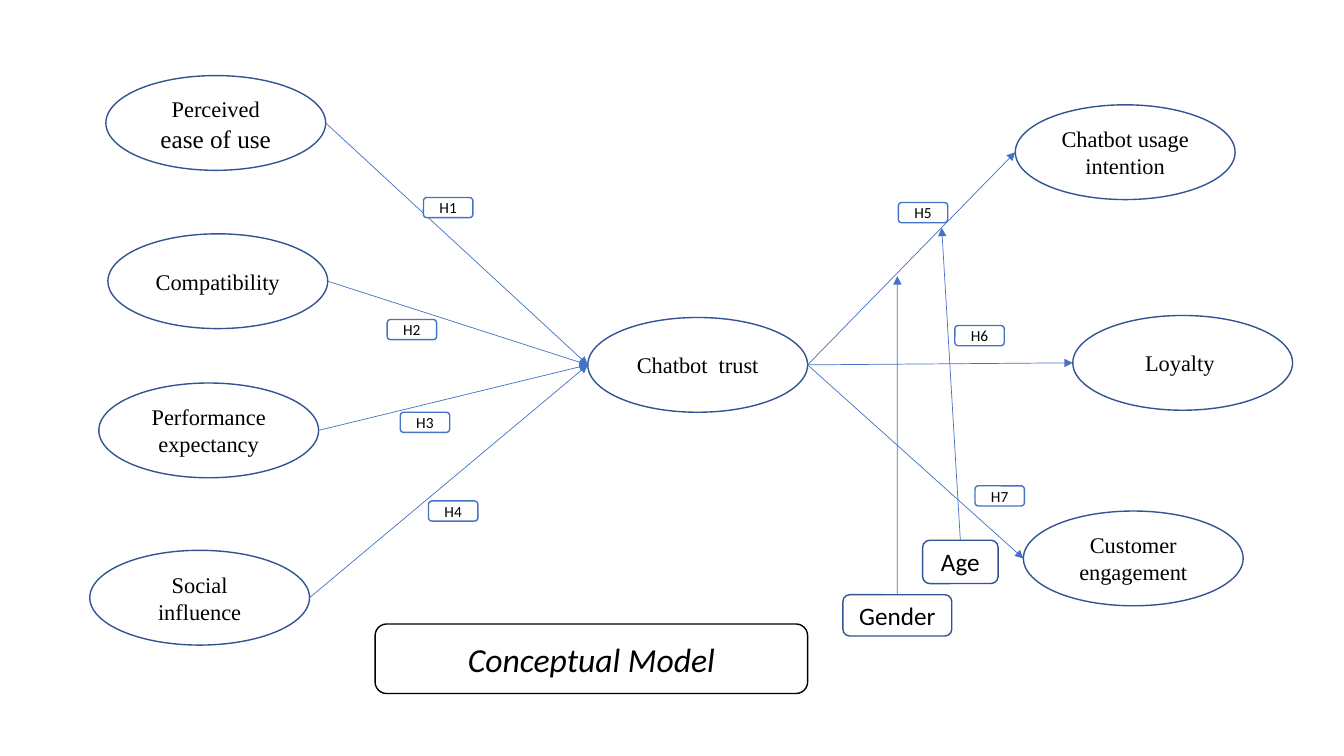
"""Build the conceptual model slide of chatbot trust, its drivers and its outcomes."""
from lxml import etree
from pptx import Presentation
from pptx.dml.color import RGBColor
from pptx.enum import shapes, text
from pptx.oxml import ns
from pptx.util import Inches, Pt

WHITE = RGBColor(0xFF, 0xFF, 0xFF)
BLACK = RGBColor(0x00, 0x00, 0x00)
NAVY = RGBColor(0x32, 0x54, 0x91)
BLUE = RGBColor(0x44, 0x72, 0xC4)
OVAL = shapes.MSO_SHAPE.OVAL
ROUNDED = shapes.MSO_SHAPE.ROUNDED_RECTANGLE
OVAL_WIDTH, OVAL_HEIGHT = 2.18, 0.94

model = Presentation()
model.slide_width, model.slide_height = Inches(13.33), Inches(7.5)
slide = model.slides.add_slide(model.slide_layouts[6])


def add_box(kind, wording, left, top, width, height, outline, font_name, size):
    box = slide.shapes.add_shape(kind, Inches(left), Inches(top), Inches(width), Inches(height))
    box.shadow.inherit = False
    box.fill.solid()
    box.fill.fore_color.rgb = WHITE
    box.line.color.rgb = outline
    box.line.width = Pt(1)
    box.text_frame.word_wrap = True
    box.text_frame.vertical_anchor = text.MSO_ANCHOR.MIDDLE
    label = box.text_frame.paragraphs[0]
    label.alignment = text.PP_ALIGN.CENTER
    label.add_run().text = wording
    label.font.name = font_name
    label.font.size = Pt(size)
    label.font.color.rgb = BLACK
    return box


def add_arrow(start_x, start_y, end_x, end_y):
    arrow = slide.shapes.add_connector(
        shapes.MSO_CONNECTOR.STRAIGHT,
        Inches(start_x), Inches(start_y), Inches(end_x), Inches(end_y))
    arrow.line.color.rgb = BLUE
    arrow.line.width = Pt(0.5)
    etree.SubElement(arrow.line._get_or_add_ln(), ns.qn("a:tailEnd"), type="triangle")
    etree.SubElement(arrow._element.spPr, ns.qn("a:effectLst"))
    return arrow


drivers = [
    ("Perceived", 1.05, 0.75),
    ("Compatibility", 1.07, 2.32),
    ("Performance expectancy", 0.98, 3.8),
    ("Social influence", 0.89, 5.46),
]
outcomes = [
    ("Chatbot usage intention", 10.07, 1.04),
    ("Loyalty ", 10.64, 3.13),
    ("Customer engagement", 10.15, 5.07),
]
trust = ("Chatbot  trust", 5.83, 3.15)
ovals = {}
for concept, left, top in drivers + [trust] + outcomes:
    ovals[concept] = add_box(OVAL, concept, left, top, OVAL_WIDTH, OVAL_HEIGHT,
                             NAVY, "Times New Roman", 16)

ease_of_use = ovals["Perceived"].text_frame.paragraphs[0].add_run()
ease_of_use.text = " ease of use"
ease_of_use.font.size = Pt(18)

trust_left, trust_middle = trust[1], trust[2] + OVAL_HEIGHT / 2
for concept, left, top in drivers:
    add_arrow(left + OVAL_WIDTH, top + OVAL_HEIGHT / 2, trust_left, trust_middle)
for concept, left, top in outcomes:
    add_arrow(trust_left + OVAL_WIDTH, trust_middle, left, top + OVAL_HEIGHT / 2)

hypotheses = [(4.2, 1.96), (3.84, 3.17), (3.97, 4.09), (4.25, 4.97),
              (8.91, 2.01), (9.47, 3.23), (9.67, 4.82)]
for number, (left, top) in enumerate(hypotheses, start=1):
    add_box(ROUNDED, f"H{number}", left, top, 0.49, 0.2, BLUE, "Calibri", 11)

caption = add_box(ROUNDED, "Conceptual Model", 3.72, 6.19, 4.29, 0.69, BLACK, "Calibri", 24)
caption.text_frame.paragraphs[0].font.italic = True

moderators = [
    ("Gender", 8.36, 5.9, 1.08, 0.41, 8.9, 2.74),
    ("Age", 9.15, 5.36, 0.75, 0.43, 9.34, 2.26),
]
for moderator, left, top, width, height, target_x, target_y in moderators:
    box = add_box(ROUNDED, moderator, left, top, width, height, NAVY, "Calibri", 18)
    add_arrow(left + width / 2, top, target_x, target_y).begin_connect(box, 0)

model.save("out.pptx")
